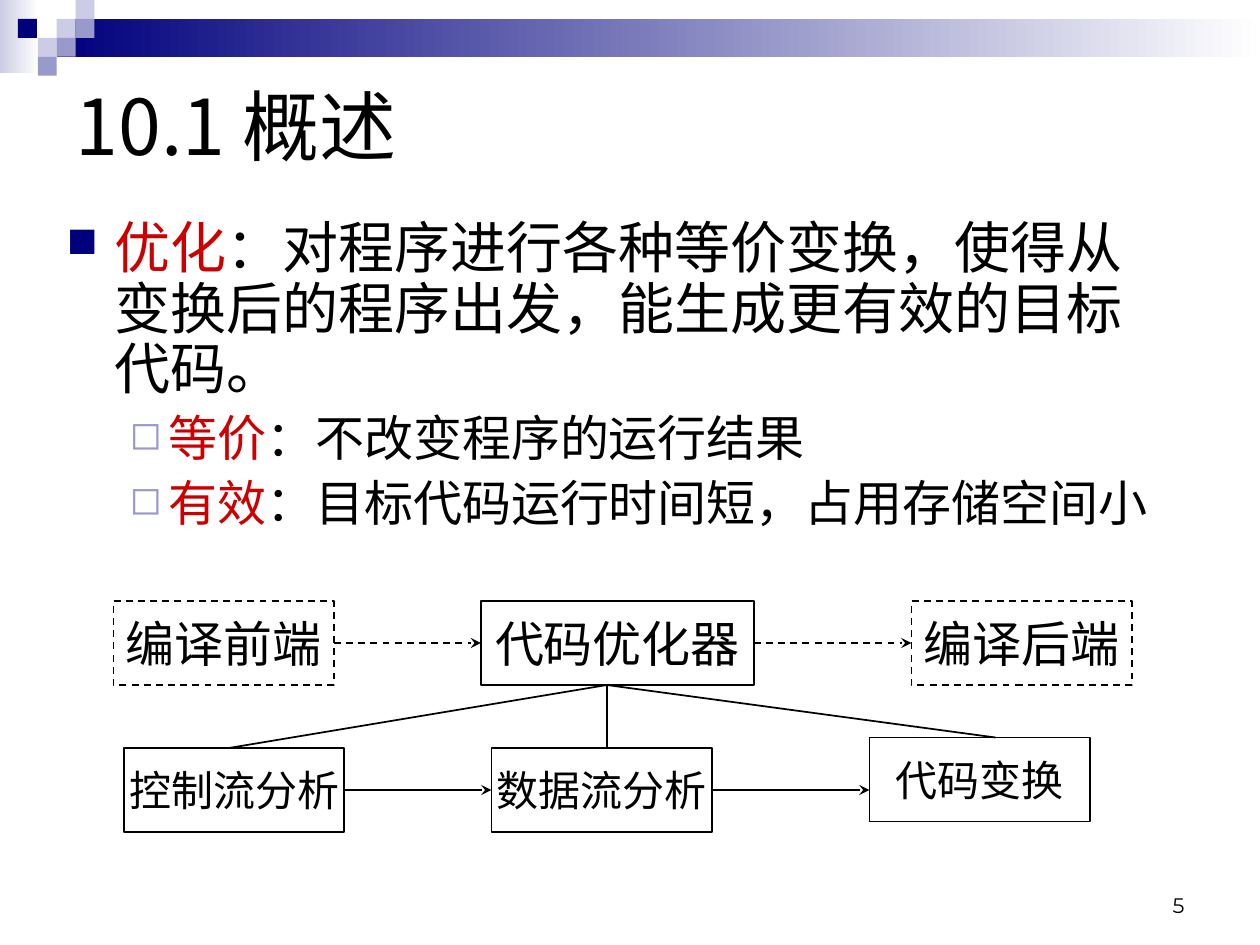
from lxml.etree import SubElement
from pptx import Presentation
from pptx.dml.color import RGBColor
from pptx.enum.dml import MSO_LINE_DASH_STYLE as DASH
from pptx.enum.shapes import MSO_CONNECTOR as CONN, MSO_SHAPE as SHAPE
from pptx.enum.text import MSO_ANCHOR as ANCHOR, MSO_AUTO_SIZE as AUTO, PP_ALIGN as ALIGN
from pptx.oxml.ns import qn
from pptx.util import Inches, Pt

CJK = "Noto Sans CJK SC"
BLACK, NAVY, LILAC, PALE, RED = "000000", "00007D", "9999CC", "CCCCE6", "CC0000"


def rgb(color):
    return RGBColor.from_string(color)


def add_text(p, text, size=28, color=BLACK, font=CJK, align=None):
    if align is not None:
        p.alignment = align
    r = p.add_run()
    r.text = text
    r.font.size, r.font.name = Pt(size), font
    r.font.color.rgb = rgb(color)
    SubElement(r.font._element, qn("a:ea"), typeface=CJK)


prs = Presentation()
prs.slide_width, prs.slide_height = Inches(10), Inches(7.5)
W, H = prs.slide_width, prs.slide_height
s = prs.slides.add_slide(prs.slide_layouts[5])
shapes = s.shapes

# Header: two fading bands under a mosaic of square tiles
tile = Inches(0.15)
for x, y, w, h, color in [(0, 0, Inches(0.31), Inches(0.58), PALE),
                          (3 * tile, tile, W - 3 * tile, 2 * tile, NAVY)]:
    band = shapes.add_shape(SHAPE.RECTANGLE, x, y, w, h)
    band.shadow.inherit = False
    band.line.fill.background()
    band.fill.gradient()
    band.fill.gradient_angle = 0
    for stop, stop_color, position in zip(band.fill.gradient_stops, (color, "FFFFFF"), (0, 1)):
        stop.color.rgb, stop.position = rgb(stop_color), position

for col, row, color in [(3, 1, PALE), (4, 0, PALE), (4, 1, LILAC), (2, 2, PALE),
                        (0.95, 1, NAVY), (3, 2, LILAC), (2, 3, LILAC)]:
    sp = shapes.add_shape(SHAPE.RECTANGLE, int(col * tile), row * tile, tile, tile)
    sp.shadow.inherit = False
    sp.fill.solid()
    sp.fill.fore_color.rgb = rgb(color)
    sp.line.fill.background()

# Title and slide number
title = shapes.title
title.left, title.top = int(W * 0.05), int(H / 15)
title.width, title.height = int(W * 0.9), int(H * 0.13)
tf = title.text_frame
tf.auto_size, tf.vertical_anchor = AUTO.NONE, ANCHOR.MIDDLE
add_text(tf.paragraphs[0], "10.1 概述", size=44, align=ALIGN.LEFT)

number = shapes.add_textbox(Inches(7.17), Inches(6.83), Inches(2.33), Inches(0.5))
tf = number.text_frame
tf.word_wrap, tf.vertical_anchor = True, ANCHOR.BOTTOM
add_text(tf.paragraphs[0], "5", size=12, font="Montserrat", align=ALIGN.RIGHT)

# Definitions
body = shapes.add_textbox(Inches(0.43), Inches(1.7), Inches(9), Inches(3.31))
tf = body.text_frame
tf.word_wrap = True
LEVELS = [  # indent, hang, size, bullet, bullet colour, bullet share, alignment
    (0.38, 0.38, 32, "■", NAVY, 75, ALIGN.LEFT),
    (0.81, 0.31, 28, "◻", LILAC, 80, ALIGN.JUSTIFY),
]
definitions = [
    (0, "优化", "：对程序进行各种等价变换，使得从变换后的程序出发，能生成更有效的目标代码。"),
    (1, "等价", "：不改变程序的运行结果"),
    (1, "有效", "：目标代码运行时间短，占用存储空间小"),
]
for i, (level, term, meaning) in enumerate(definitions):
    indent, hang, size, bullet, color, share, align = LEVELS[level]
    p = tf.add_paragraph() if i else tf.paragraphs[0]
    p.level, p.line_spacing = level, 0.9
    if i:
        p.space_before = Pt(7)
    pPr = p._p.get_or_add_pPr()
    pPr.set("marL", str(Inches(indent)))
    pPr.set("indent", str(-Inches(hang)))
    SubElement(SubElement(pPr, qn("a:buClr")), qn("a:srgbClr"), val=color)
    SubElement(pPr, qn("a:buSzPct"), val=str(share * 1000))
    SubElement(pPr, qn("a:buChar"), char=bullet)
    add_text(p, term, size=size, color=RED, align=align)
    add_text(p, meaning, size=size)

# Flow diagram on a grid of twelfths of an inch
unit, left, top = W / 120, W * 0.09, H * 0.636
boxes = {}
for text, col, row, cols, size, dashed in [
        ("编译前端", 0, 0, 21, 28, True),
        ("代码优化器", 35, 0, 26, 28, False),
        ("编译后端", 76, 0, 21, 28, True),
        ("控制流分析", 1, 14, 21, 24, False),
        ("数据流分析", 36, 14, 21, 24, False),
        ("代码变换", 72, 13, 21, 24, False)]:
    sp = shapes.add_shape(SHAPE.RECTANGLE, int(left + col * unit), int(top + row * unit),
                          int(cols * unit), int(8 * unit))
    sp.shadow.inherit = False
    sp.fill.background()
    sp.line.color.rgb, sp.line.width = rgb(BLACK), Pt(1)
    if dashed:
        sp.line.dash_style = DASH.DASH
    tf = sp.text_frame
    tf.word_wrap, tf.vertical_anchor = False, ANCHOR.MIDDLE
    add_text(tf.paragraphs[0], text, size=size, font="Times New Roman", align=ALIGN.CENTER)
    boxes[text] = sp

# Each line: grid ends, dashed, arrow, box joined at its right, box joined at its left
for x1, y1, x2, y2, dashed, arrow, source, target in [
        (21, 4, 35, 4, True, True, "编译前端", "代码优化器"),
        (61, 4, 76, 4, True, True, "代码优化器", "编译后端"),
        (22, 18, 36, 18, False, True, "控制流分析", "数据流分析"),
        (57, 18, 72, 18, False, True, "数据流分析", None),
        (47, 8, 11, 14, False, False, None, None),
        (47, 8, 47, 14, False, False, None, None),
        (47, 8, 84, 13, False, False, None, None)]:
    line = shapes.add_connector(CONN.STRAIGHT, int(left + x1 * unit), int(top + y1 * unit),
                                int(left + x2 * unit), int(top + y2 * unit))
    if source:
        line.begin_connect(boxes[source], 3)
    if target:
        line.end_connect(boxes[target], 1)
    line.line.color.rgb, line.line.width = rgb(BLACK), Pt(1)
    if dashed:
        line.line.dash_style = DASH.DASH
    if arrow:
        SubElement(line.line._get_or_add_ln(), qn("a:tailEnd"), type="stealth", w="med", len="med")
    SubElement(line._element.spPr, qn("a:effectLst"))

prs.save("out.pptx")
